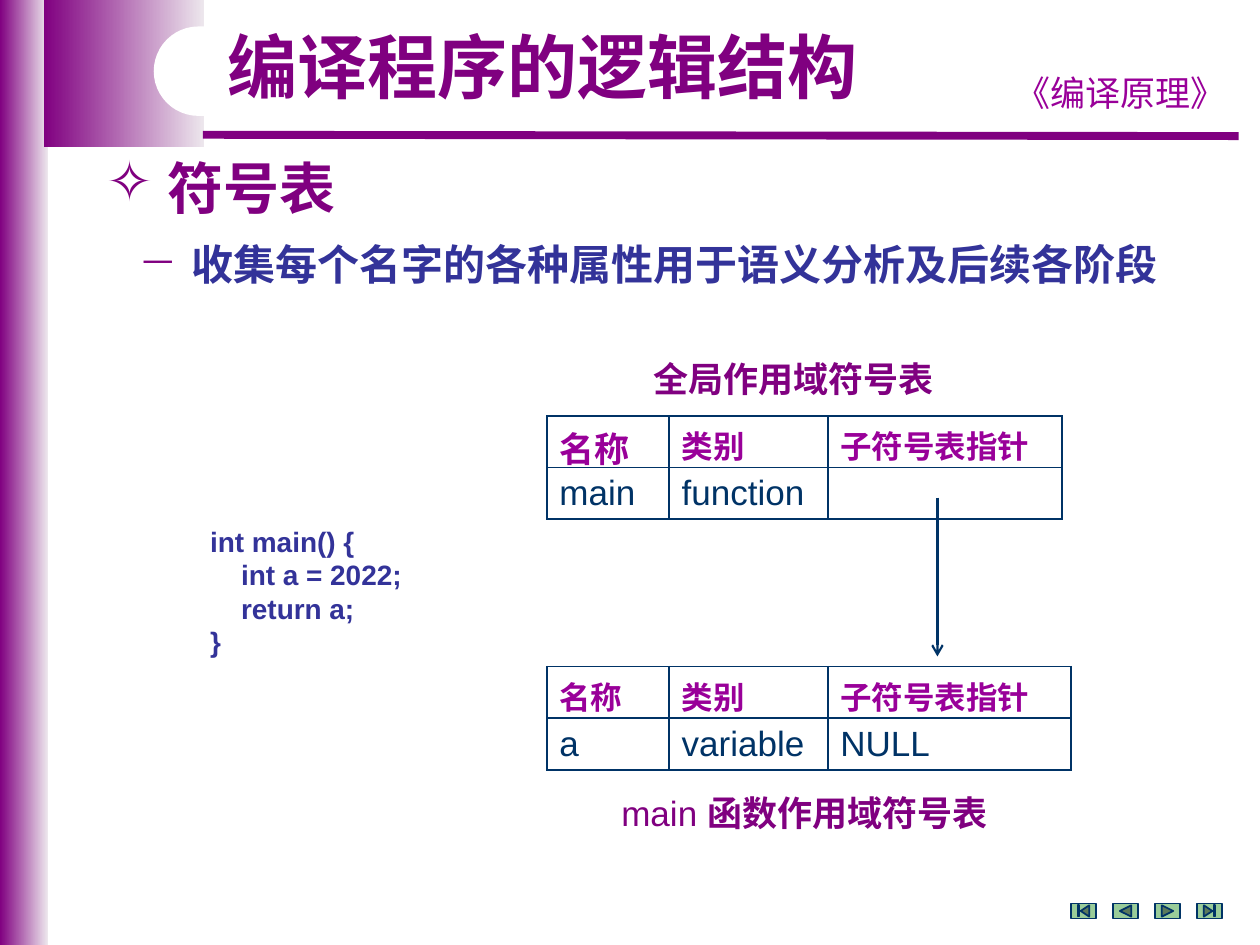
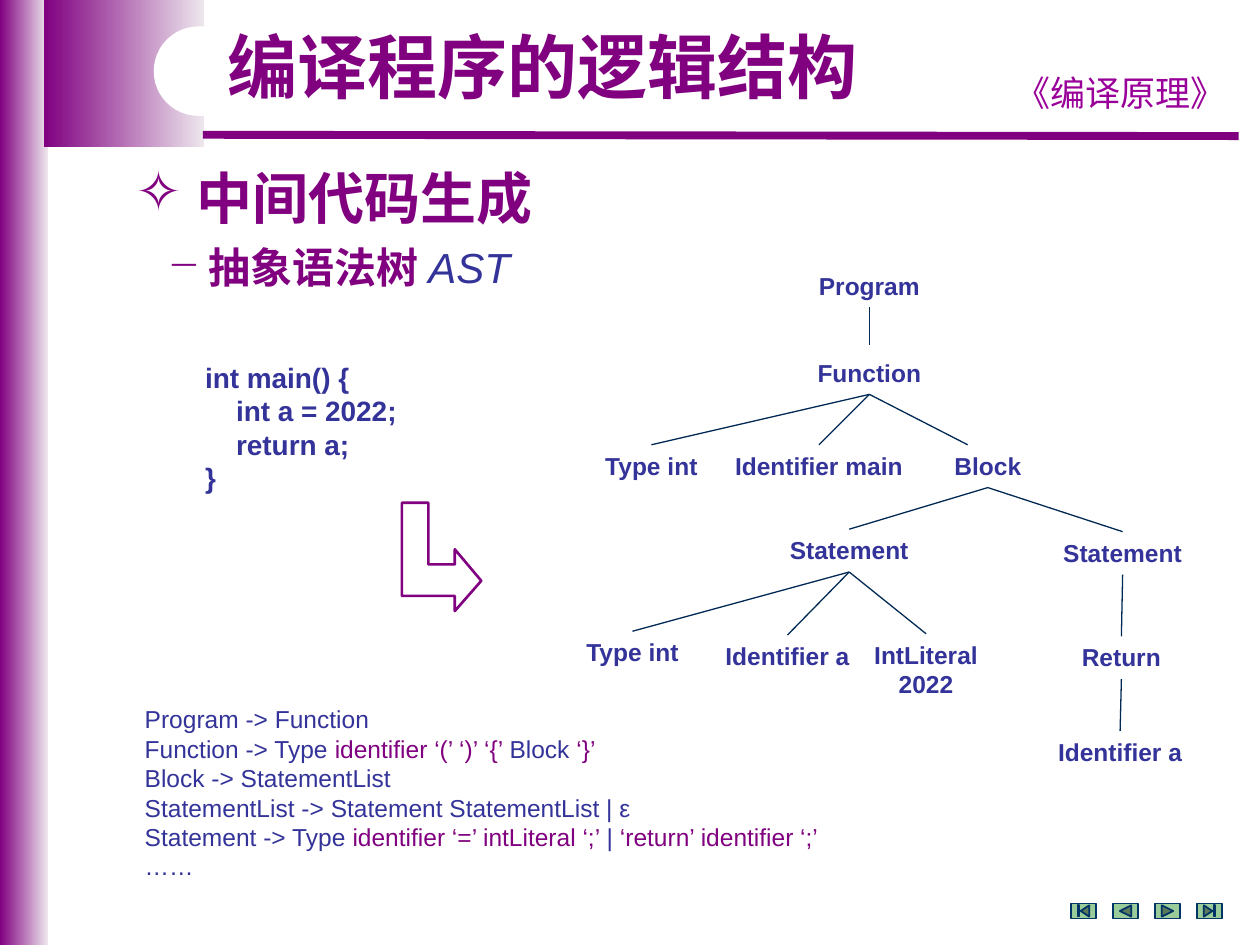
"""Build two lecture slides on the logical structure of a compiler."""
import lxml.etree
import pptx
import pptx.dml.color
import pptx.enum.shapes
import pptx.enum.text
import pptx.oxml.ns
import pptx.util

Inches = pptx.util.Inches
Pt = pptx.util.Pt
Shape = pptx.enum.shapes.MSO_SHAPE
Align = pptx.enum.text.PP_ALIGN
Anchor = pptx.enum.text.MSO_ANCHOR
qn = pptx.oxml.ns.qn

PURPLE, PALE, PINK = "800080", "EDE7ED", "990099"
NAVY, TEAL, DARK = "333399", "003366", "002954"
WHITE, GREEN = "FFFFFF", "99CC99"
LATIN, HAN = "Arial", "Noto Sans CJK SC"
TITLE = "编译程序的逻辑结构"
CODE = ["int main() {", "    int a = 2022;", "    return a;", "}"]
HEADS = ["名称", "类别", "子符号表指针"]


def color(code):
    return pptx.dml.color.RGBColor.from_string(code)


def child(parent, tag, **attrs):
    return lxml.etree.SubElement(parent, qn(tag), **attrs)


class Deck:
    def __init__(self):
        self.file = pptx.Presentation()
        self.file.slide_width = Inches(10)
        self.file.slide_height = Inches(7.5)

    def start(self, title):
        self.slide = self.file.slides.add_slide(self.file.slide_layouts[5])
        self.shapes = self.slide.shapes
        self.band(0, 0, 0.38, 7.5)
        self.band(0.35, 0, 1.27, 1.17)
        self.line((1.61, 1.07), (9.83, 1.08), PURPLE, 4.5)
        self.text(7.91, 0.52, 1.97, 0.43, ["《编译原理》"], 20, [PINK],
                  align=Align.CENTER, anchor=Anchor.MIDDLE)
        pill = self.shape(Shape.ROUNDED_RECTANGLE, 1.22, 0.21, 3.62, 0.71, WHITE)
        pill.adjustments[0] = 0.5
        self.title(title)
        self.buttons()

    def title(self, words):
        box = self.shapes.title
        box.element.getparent().append(box.element)
        box.left, box.top = Inches(1.65), Inches(0.21)
        box.width, box.height = Inches(5.31), Inches(0.7)
        frame = box.text_frame
        frame.text = words
        frame.auto_size = pptx.enum.text.MSO_AUTO_SIZE.NONE
        frame.vertical_anchor = Anchor.MIDDLE
        para = frame.paragraphs[0]
        para.alignment, para.line_spacing = Align.CENTER, 0.9
        self.font(para.runs[0], 40, PURPLE, True)

    def buttons(self):
        kinds = [Shape.ACTION_BUTTON_BEGINNING,
                 Shape.ACTION_BUTTON_BACK_OR_PREVIOUS,
                 Shape.ACTION_BUTTON_FORWARD_OR_NEXT,
                 Shape.ACTION_BUTTON_END]
        for i, kind in enumerate(kinds):
            button = self.shape(kind, 8.5 + i / 3, 7.17, 0.2, 0.12, GREEN)
            self.stroke(button.line, TEAL, 1)

    def font(self, run, size, code, bold=False, italic=False):
        font = run.font
        font.size, font.bold, font.italic = Pt(size), bold, italic
        font.color.rgb = color(code)
        font.name = LATIN
        child(run._r.get_or_add_rPr(), "a:ea", typeface=HAN)

    def stroke(self, line, code, width):
        line.color.rgb = color(code)
        line.width = Pt(width)

    def shape(self, kind, x, y, w, h, fill):
        item = self.shapes.add_shape(kind, Inches(x), Inches(y), Inches(w), Inches(h))
        item.shadow.inherit = False
        item.fill.solid()
        item.fill.fore_color.rgb = color(fill)
        item.line.fill.background()
        return item

    def band(self, x, y, w, h):
        fill = self.shape(Shape.RECTANGLE, x, y, w, h, PURPLE).fill
        fill.gradient()
        fill.gradient_angle = 0
        for stop, code in zip(fill.gradient_stops, (PURPLE, PALE)):
            stop.color.rgb = color(code)

    def line(self, start, end, code=DARK, width=0.75, arrow=False):
        item = self.shapes.add_connector(
            pptx.enum.shapes.MSO_CONNECTOR.STRAIGHT,
            *[Inches(v) for v in (*start, *end)])
        self.stroke(item.line, code, width)
        if arrow:
            child(item.line._get_or_add_ln(), "a:tailEnd", type="arrow")
        child(item.element.spPr, "a:effectLst")

    def outline(self, points, code, width):
        spots = [(Inches(x), Inches(y)) for x, y in points]
        form = self.shapes.build_freeform(*spots[0], scale=1.0)
        form.add_line_segments(spots[1:], close=True)
        item = form.convert_to_shape()
        item.shadow.inherit = False
        item.fill.background()
        self.stroke(item.line, code, width)

    def text(self, x, y, w, h, lines, size, codes, bold=False,
             align=Align.LEFT, anchor=Anchor.TOP):
        """Write lines; a tuple line is split into runs that cycle through codes."""
        box = self.shapes.add_textbox(Inches(x), Inches(y), Inches(w), Inches(h))
        frame = box.text_frame
        frame.word_wrap, frame.vertical_anchor = True, anchor
        for i, parts in enumerate(lines):
            para = frame.add_paragraph() if i else frame.paragraphs[0]
            para.alignment = align
            parts = (parts,) if isinstance(parts, str) else parts
            for j, part in enumerate(parts):
                run = para.add_run()
                run.text = part
                self.font(run, size, codes[j % len(codes)], bold)
        return frame.paragraphs

    def bullet(self, para, mark, left, hang, scale=100):
        para.line_spacing = 0.9
        props = para._p.get_or_add_pPr()
        props.set("marL", str(Inches(left)))
        props.set("indent", str(-Inches(hang)))
        child(child(props, "a:buClr"), "a:srgbClr", val=PURPLE)
        child(props, "a:buSzPct", val=str(scale * 1000))
        child(props, "a:buChar", char=mark)

    def points(self, x, y, w, h, head, item, codes, gap, left, scale=100):
        top, sub = self.text(x, y, w, h, [head, item], 24, codes, True)
        self.bullet(top, "✧", 0.48, 0.48)
        top.runs[0].font.size = Pt(32)
        top.runs[0].font.color.rgb = color(PURPLE)
        self.bullet(sub, "−", left, left - 0.25, scale)
        sub.space_before = Pt(gap)
        return sub

    def table(self, x, y, widths, row, head):
        grid = self.shapes.add_table(2, len(widths), Inches(x), Inches(y),
                                     Inches(sum(widths)), Inches(0.82)).table
        for col, width in zip(grid.columns, widths):
            col.width = Inches(width)
        for i, words in enumerate([HEADS, row]):
            for j, word in enumerate(words):
                size, code = (head[j], PINK) if i == 0 else (20, TEAL)
                self.cell(grid.cell(i, j), word, size, code, i == 0)

    def cell(self, cell, word, size, code, bold):
        cell.margin_bottom = 0
        props = cell._tc.get_or_add_tcPr()
        for side in ("a:lnL", "a:lnR", "a:lnT", "a:lnB"):
            edge = child(props, side, w=str(Pt(1)))
            child(child(edge, "a:solidFill"), "a:srgbClr", val=TEAL)
        cell.fill.solid()
        cell.fill.fore_color.rgb = color(WHITE)
        cell.text_frame.text = word
        for run in cell.text_frame.paragraphs[0].runs:
            self.font(run, size, code, bold)

    def code(self, x, y):
        self.text(x, y, 2.13, 1.18, CODE, 16, [NAVY], True)

    def tree(self, nodes):
        ends = {}
        for name, word, mid, top, width, root, dx, dy in nodes:
            self.text(mid - width / 2, top, width, 0.34, [word], 14, [NAVY],
                      True, Align.CENTER)
            ends[name] = (mid, top + 0.34)
            if root:
                self.line(ends[root], (mid + dx, top + dy))


def symbols(deck):
    deck.start(TITLE)
    deck.points(0.75, 1.23, 9.1, 1.27, "符号表",
                "收集每个名字的各种属性用于语义分析及后续各阶段",
                [NAVY], 13, 0.67, 117)
    deck.code(1.57, 4.11)
    deck.table(4.34, 3.3, [0.97, 1.26, 1.86], ["main", "function", ""], [20, 18, 18])
    deck.line((7.44, 3.95), (7.44, 5.21), TEAL, 1.25, True)
    deck.table(4.34, 5.29, [0.97, 1.26, 1.93], ["a", "variable", "NULL"], [18] * 3)
    deck.text(5, 2.79, 2.6, 0.44, ["全局作用域符号表"], 20, [PURPLE], True, Align.CENTER)
    label = deck.text(4.83, 6.23, 3.11, 0.44, [("main ", "函数作用域符号表")],
                      20, [PURPLE], True, Align.CENTER)
    label[0].runs[0].font.bold = False


def syntax(deck):
    deck.start(TITLE)
    sub = deck.points(0.98, 1.31, 8.35, 1.21, "中间代码生成",
                      ("抽象语法树 ", "AST"), [PURPLE, NAVY], 9, 0.58)
    sub.runs[1].font.bold, sub.runs[1].font.italic = False, True
    deck.outline([(3.82, 4.61), (3.61, 4.36), (3.61, 4.48), (3.4, 4.48),
                  (3.4, 3.99), (3.19, 3.99), (3.19, 4.73), (3.61, 4.73),
                  (3.61, 4.85)], PURPLE, 1.5)
    deck.code(1.53, 2.81)
    deck.text(1.05, 5.54, 5.68, 1.51, [
        "Program -> Function",
        ("Function -> Type ", "identifier ‘(’ ‘)’ ‘{’ ", "Block ", "‘}’"),
        "Block -> StatementList",
        "StatementList -> Statement StatementList | ε",
        ("Statement -> Type ", "identifier ‘=’ intLiteral ‘;’ ", "| ",
         "‘return’ identifier ‘;’"),
        "……"], 14, [NAVY, PURPLE])
    deck.tree([
        ("root", "Program", 6.9, 2.1, 1.17, None, 0, 0),
        ("func", "Function", 6.9, 2.79, 2.13, "root", 0, -0.05),
        ("type", "Type int", 5.17, 3.53, 1.16, "func", 0, 0),
        ("main", "Identifier main", 6.5, 3.53, 1.61, "func", 0, 0),
        ("block", "Block", 7.84, 3.53, 1.1, "func", -0.16, 0),
        ("set", "Statement", 6.74, 4.2, 1.2, "block", 0, 0),
        ("end", "Statement", 8.91, 4.22, 1.2, "block", 0, 0),
        ("kind", "Type int", 5.02, 5.01, 1.14, "set", 0, 0),
        ("name", "Identifier a", 6.25, 5.04, 1.24, "set", 0, 0),
        ("value", "IntLiteral 2022", 7.35, 5.03, 1.1, "set", 0, 0),
        ("back", "Return", 8.9, 5.05, 1.1, "end", 0, 0),
        ("out", "Identifier a", 8.89, 5.8, 1.24, "back", 0, 0)])


def main():
    deck = Deck()
    symbols(deck)
    syntax(deck)
    deck.file.save("out.pptx")


if __name__ == "__main__":
    main()
